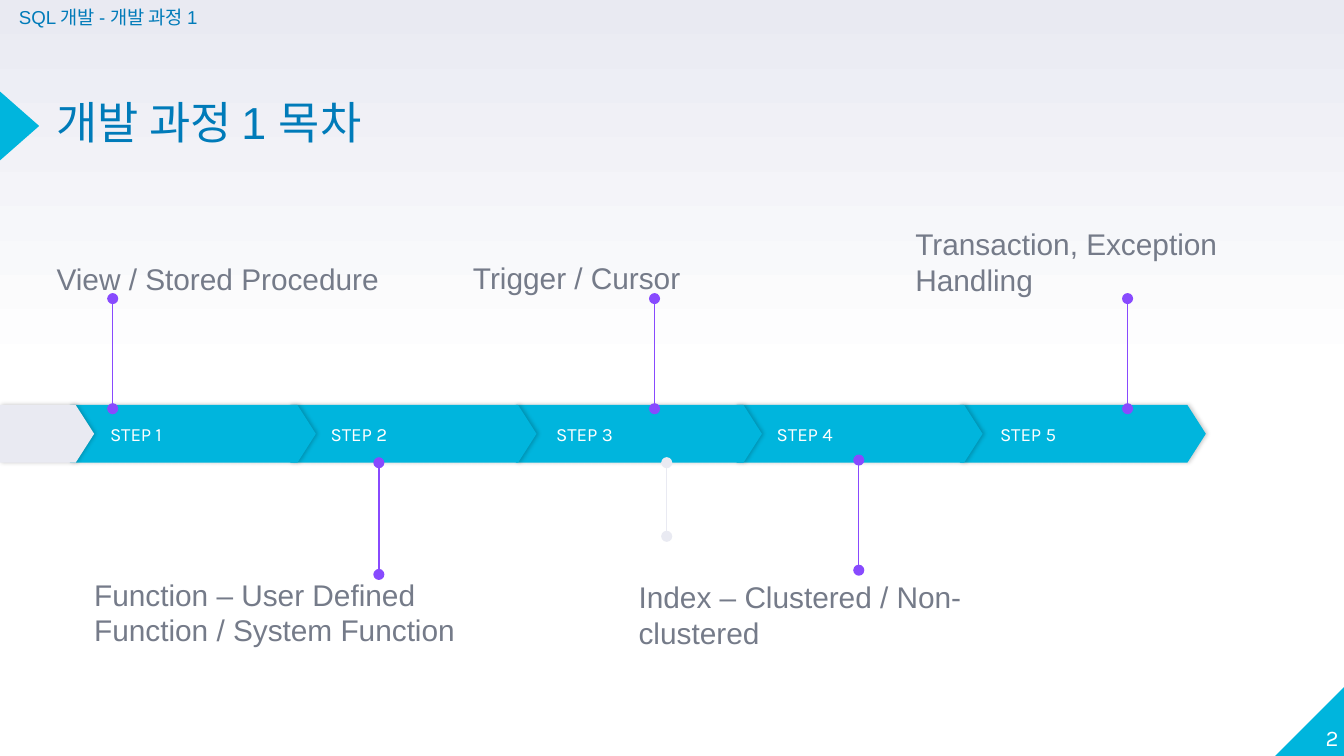
"""Build the SQL course contents slide with a five-step timeline."""
from copy import deepcopy
from dataclasses import dataclass

from lxml import etree
from pptx import Presentation
from pptx.dml.color import RGBColor
from pptx.enum.shapes import MSO_CONNECTOR, MSO_SHAPE
from pptx.enum.text import MSO_ANCHOR, PP_ALIGN
from pptx.oxml.ns import qn
from pptx.util import Cm, Pt

PENTAGON = MSO_SHAPE.PENTAGON
ARROW = MSO_SHAPE.ISOSCELES_TRIANGLE
CORNER = MSO_SHAPE.RIGHT_TRIANGLE
STRAIGHT = MSO_CONNECTOR.STRAIGHT
TOP, MIDDLE, BOTTOM = MSO_ANCHOR.TOP, MSO_ANCHOR.MIDDLE, MSO_ANCHOR.BOTTOM
LEFT, RIGHT = PP_ALIGN.LEFT, PP_ALIGN.RIGHT


@dataclass(frozen=True)
class Theme:
    accent: str = "00B5DD"
    heading: str = "007BB9"
    body: str = "757B89"
    pin: str = "884AFE"
    pale: str = "E9EAF2"
    white: str = "FFFFFF"
    text_font: str = "Arial"
    label_font: str = "Karla"
    small: int = 10
    number: int = 12
    topic: int = 16
    title: int = 24


THEME = Theme()
PAGE_WIDTH, PAGE_HEIGHT = 25.4, 14.28
BAND_TOP, BAND_HEIGHT, STEP_WIDTH = 7.65, 1.09, 4.65
CORNER_SIZE = 1.3

HEADINGS = [
    ("SQL 개발 - 개발 과정 1", (0.36, 0.2, 24.49, 0.46), THEME.small),
    ("개발 과정 1 목차", (1.07, 1.98, 23.42, 0.97), THEME.title),
]
STEPS = [
    ("STEP 1", 1.32),
    ("STEP 2", 5.49),
    ("STEP 3", 9.75),
    ("STEP 4", 13.92),
    ("STEP 5", 18.14),
]
TOPICS = [
    ("View / Stored Procedure", (1.07, 4.14, 7.54, 1.47)),
    ("Function – User Defined Function / System Function", (1.78, 10.77, 7.62, 1.47)),
    ("Trigger / Cursor", (8.94, 4.11, 7.54, 1.47)),
    ("Index – Clustered / Non-clustered", (12.07, 10.82, 8.26, 1.47)),
    ("Transaction, Exception Handling", (17.3, 4.98, 7.54, 0.64)),
]
PINS = [
    (2.13, 7.72, 5.64, THEME.pin),
    (12.6, 10.13, 8.74, THEME.pale),
    (7.16, 10.85, 8.74, THEME.pin),
    (12.37, 7.72, 5.64, THEME.pin),
    (16.23, 10.77, 8.69, THEME.pin),
    (21.31, 7.72, 5.64, THEME.pin),
]


def color(value):
    return RGBColor.from_string(value)


def write(box, text, font, size, shade, anchor=TOP, align=LEFT, inset=0, spacing=None):
    frame = box.text_frame
    frame.word_wrap = True
    frame.vertical_anchor = anchor
    frame.margin_left = Cm(inset)
    frame.margin_top = frame.margin_right = frame.margin_bottom = 0
    para = frame.paragraphs[0]
    para.alignment = align
    para.line_spacing = spacing
    span = para.add_run()
    span.text = text
    span.font.name = font
    span.font.size = Pt(size)
    span.font.color.rgb = color(shade)


def add_text(page, area, *content, **options):
    box = page.shapes.add_textbox(*map(Cm, area))
    write(box, *content, **options)


def add_solid(page, kind, area, shade):
    shape = page.shapes.add_shape(kind, *map(Cm, area))
    shape.shadow.inherit = False
    shape.fill.solid()
    shape.fill.fore_color.rgb = color(shade)
    shape.line.fill.background()
    return shape


def add_band(page, left, width, shade):
    band = add_solid(page, PENTAGON, (left, BAND_TOP, width, BAND_HEIGHT), shade)
    band.adjustments[0] = 0.32
    effects = band.element.spPr.find(qn("a:effectLst"))
    shadow = etree.SubElement(effects, qn("a:outerShdw"), blurRad=str(Pt(2.2)),
                              dist=str(Pt(0.8)), dir="0", rotWithShape="0")
    tint = etree.SubElement(shadow, qn("a:srgbClr"), val="000000")
    etree.SubElement(tint, qn("a:alpha"), val="20000")
    return band


def add_pin(page, across, start, end, shade):
    pin = page.shapes.add_connector(STRAIGHT, *map(Cm, (across, start, across, end)))
    pin.line.color.rgb = color(shade)
    pin.line.width = Pt(0.75)
    outline = pin.line._get_or_add_ln()
    for tip in ("a:headEnd", "a:tailEnd"):
        etree.SubElement(outline, qn(tip), type="oval")
    etree.SubElement(pin.element.spPr, qn("a:effectLst"))


def paint_background(page):
    fill = page.background.fill
    fill.gradient()
    fill.gradient_angle = 90
    stop_list = next(page.element.iter(qn("a:gsLst")))
    stop_list.append(deepcopy(stop_list[0]))
    shades = ((0, THEME.white), (0.5, THEME.white), (1, THEME.pale))
    for stop, (position, shade) in zip(fill.gradient_stops, shades):
        stop.position = position
        stop.color.rgb = color(shade)


def main():
    deck = Presentation()
    deck.slide_width, deck.slide_height = Cm(PAGE_WIDTH), Cm(PAGE_HEIGHT)
    page = deck.slides.add_slide(deck.slide_layouts[6])
    paint_background(page)

    corner_area = (PAGE_WIDTH - CORNER_SIZE, PAGE_HEIGHT - CORNER_SIZE, CORNER_SIZE, CORNER_SIZE)
    corner = add_solid(page, CORNER, corner_area, THEME.accent)
    corner.element.spPr.find(qn("a:xfrm")).set("flipH", "1")
    add_solid(page, ARROW, (-0.28, 2.01, 1.3, 0.74), THEME.accent).rotation = 90

    for label, left in reversed(STEPS):
        band = add_band(page, left, STEP_WIDTH, THEME.accent)
        write(band, label, THEME.label_font, THEME.small, THEME.white, anchor=MIDDLE, inset=0.76)
    add_band(page, 0, 1.78, THEME.pale)

    add_text(page, (24.03, 12.88, 1.27, 1.3), "2", THEME.label_font, THEME.number,
             THEME.white, anchor=BOTTOM, align=RIGHT)
    for text, area, size in HEADINGS:
        add_text(page, area, text, THEME.text_font, size, THEME.heading, spacing=0.8)
    for text, area in TOPICS:
        add_text(page, area, text, THEME.text_font, THEME.topic, THEME.body, anchor=BOTTOM)
    for pin in PINS:
        add_pin(page, *pin)

    deck.save("out.pptx")


if __name__ == "__main__":
    main()
